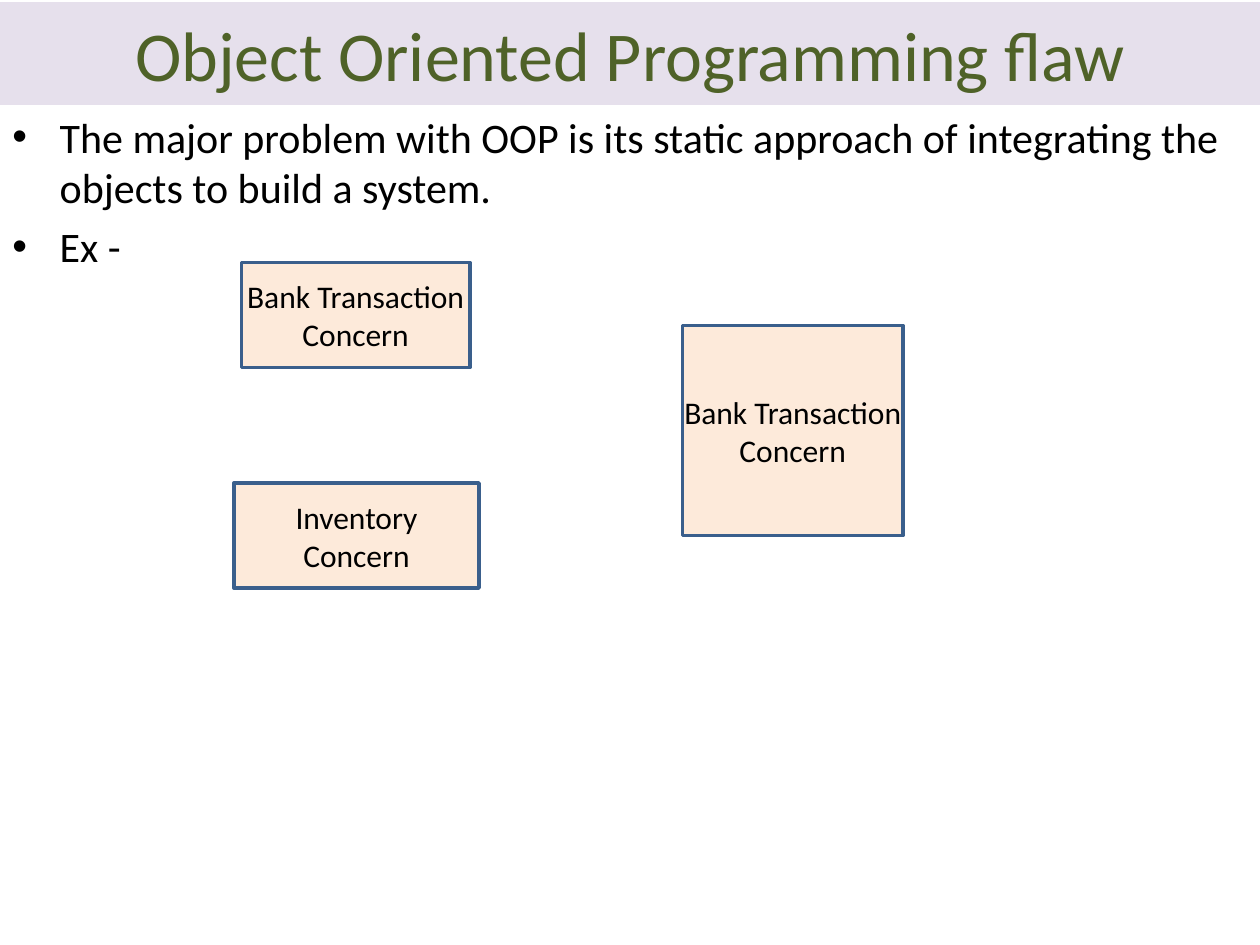
from dataclasses import dataclass

import pptx
import pptx.dml.color
import pptx.enum.shapes
import pptx.enum.text
import pptx.oxml.ns
import pptx.util
from lxml import etree

Pt = pptx.util.Pt
FONT = "Calibri"
COLORS = {
    "title_band": "E6E0EC",
    "title_text": "4F6228",
    "text": "000000",
    "concern_fill": "FDEADA",
    "concern_line": "3A5F8C",
}
SLIDE_WIDTH, SLIDE_HEIGHT = 720, 540
BODY_TOP = 60
BODY_INDENT = 27

POINTS = [
    "The major problem with OOP is its static approach of integrating the "
    "objects to build a system.",
    "Ex -",
]


@dataclass(frozen=True)
class Concern:
    label: str
    left: float
    top: float
    width: float
    height: float


CONCERNS = [
    Concern("Bank Transaction Concern", 138, 150, 130.5, 60),
    Concern("Inventory\nConcern", 133.75, 276, 140, 60),
    Concern("Bank Transaction Concern", 390, 186, 126, 120),
]


def rgb(name: str) -> pptx.dml.color.RGBColor:
    return pptx.dml.color.RGBColor.from_string(COLORS[name])


def write(frame, text: str, size: float, color: str, align) -> None:
    """Fill a text frame, one paragraph per line of text."""
    frame.word_wrap = True
    frame.text = text
    for paragraph in frame.paragraphs:
        paragraph.alignment = align
        for run in paragraph.runs:
            run.font.name = FONT
            run.font.size = Pt(size)
            run.font.color.rgb = rgb(color)


def add_box(slide, left: float, top: float, width: float, height: float, fill: str):
    box = slide.shapes.add_shape(
        pptx.enum.shapes.MSO_SHAPE.RECTANGLE, Pt(left), Pt(top), Pt(width), Pt(height)
    )
    box.shadow.inherit = False
    box.fill.solid()
    box.fill.fore_color.rgb = rgb(fill)
    box.text_frame.vertical_anchor = pptx.enum.text.MSO_ANCHOR.MIDDLE
    return box


def add_title(slide) -> None:
    band = add_box(slide, 0, 1.25, SLIDE_WIDTH, 58.75, "title_band")
    band.line.fill.background()
    write(band.text_frame, "Object Oriented Programming flaw", 40, "title_text",
          pptx.enum.text.PP_ALIGN.CENTER)


def add_points(slide) -> None:
    body = slide.shapes.add_textbox(
        Pt(0), Pt(BODY_TOP), Pt(SLIDE_WIDTH), Pt(SLIDE_HEIGHT - BODY_TOP)
    )
    write(body.text_frame, "\n".join(POINTS), 24, "text",
          pptx.enum.text.PP_ALIGN.LEFT)
    for paragraph in body.text_frame.paragraphs:
        paragraph.space_before = Pt(4.8)
        properties = paragraph._p.get_or_add_pPr()
        properties.set("marL", str(Pt(BODY_INDENT)))
        properties.set("indent", str(-Pt(BODY_INDENT)))
        qn = pptx.oxml.ns.qn
        etree.SubElement(properties, qn("a:buFont"), typeface="Arial")
        etree.SubElement(properties, qn("a:buChar"), char="•")


def add_concern(slide, concern: Concern) -> None:
    box = add_box(slide, concern.left, concern.top, concern.width, concern.height,
                  "concern_fill")
    box.line.color.rgb = rgb("concern_line")
    box.line.width = Pt(2)
    frame = box.text_frame
    frame.margin_left = frame.margin_right = Pt(0)
    frame.margin_top = frame.margin_bottom = Pt(0)
    write(frame, concern.label, 18, "text", pptx.enum.text.PP_ALIGN.CENTER)


def main() -> None:
    deck = pptx.Presentation()
    deck.slide_width, deck.slide_height = Pt(SLIDE_WIDTH), Pt(SLIDE_HEIGHT)
    slide = deck.slides.add_slide(deck.slide_layouts[6])
    add_title(slide)
    add_points(slide)
    for concern in CONCERNS:
        add_concern(slide, concern)
    deck.save("out.pptx")


if __name__ == "__main__":
    main()
